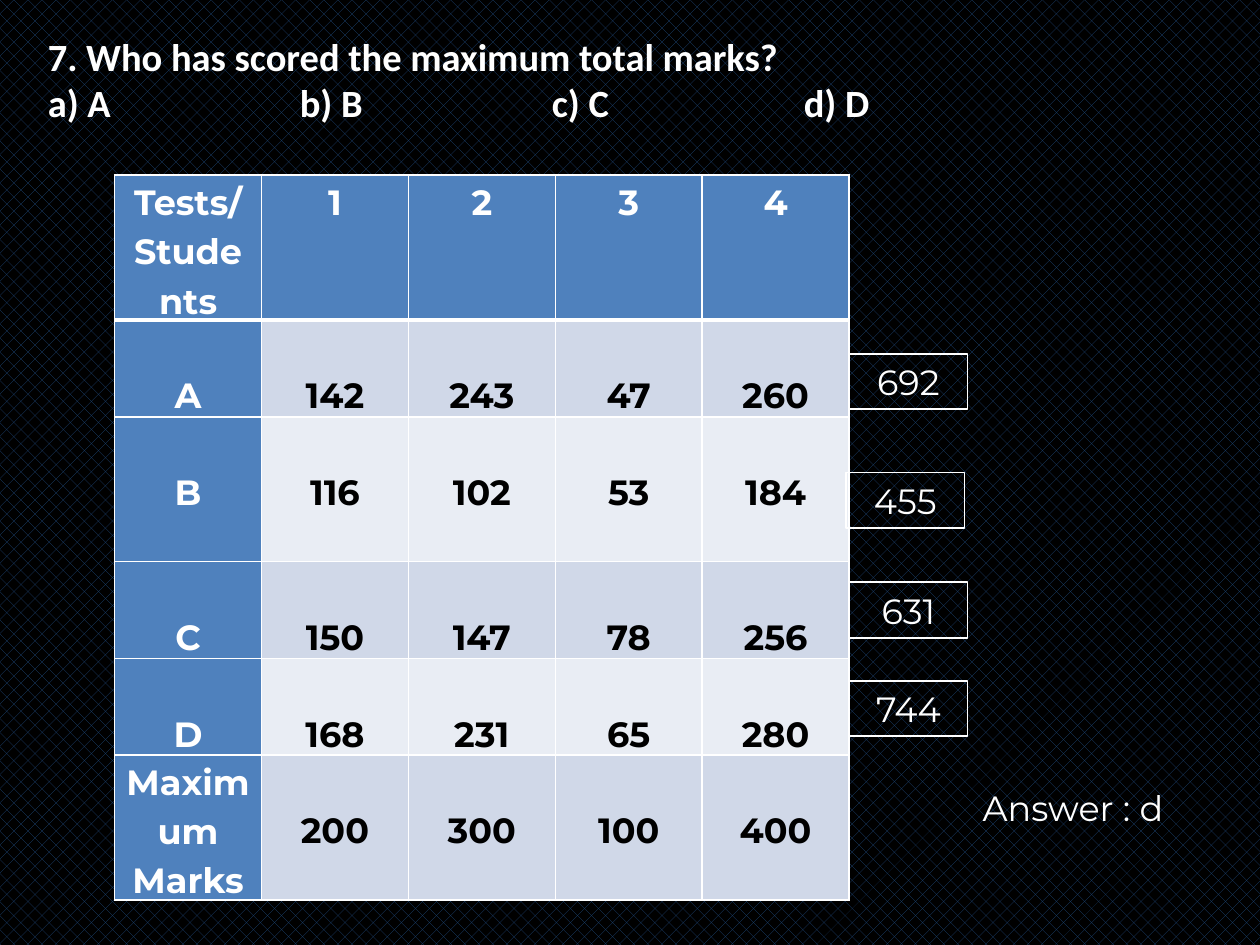
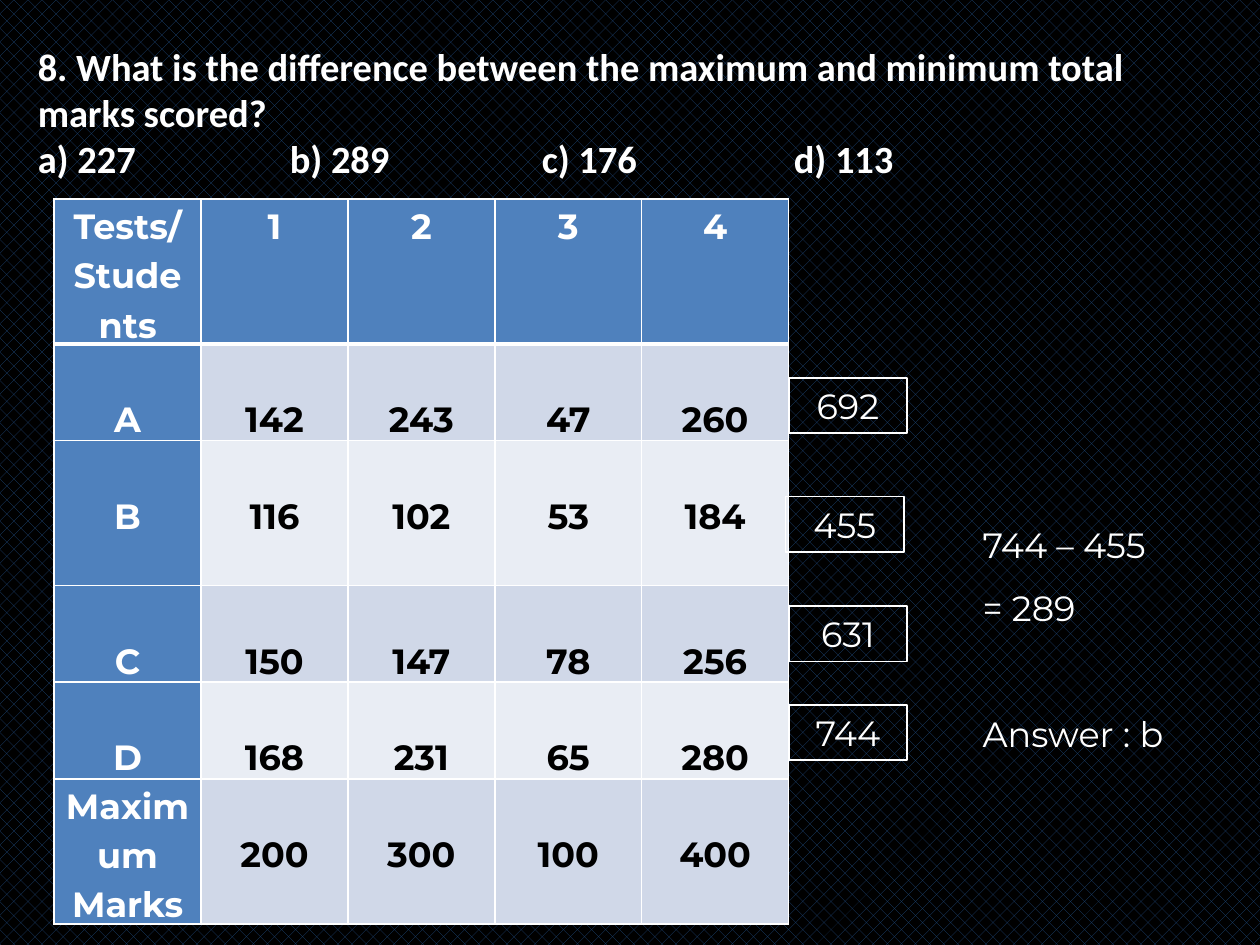
from dataclasses import dataclass

from lxml.etree import SubElement
from pptx import Presentation
from pptx.dml.color import RGBColor as RGB
from pptx.enum.dml import MSO_PATTERN
from pptx.enum.shapes import MSO_SHAPE
from pptx.enum.text import MSO_ANCHOR, MSO_AUTO_SIZE, PP_ALIGN
from pptx.oxml.ns import qn
from pptx.util import Inches, Pt


@dataclass(frozen=True)
class Theme:
    background: RGB = RGB(0, 0, 0)
    hatch: RGB = RGB(0x1F, 0x49, 0x7D)
    light: RGB = RGB(0xFF, 0xFF, 0xFF)
    dark: RGB = RGB(0, 0, 0)
    heading_fill: RGB = RGB(0x4F, 0x81, 0xBD)
    odd_band: RGB = RGB(0xD0, 0xD8, 0xE8)
    even_band: RGB = RGB(0xE9, 0xED, 0xF4)
    question_font: str = "Calibri"
    body_font: str = "Montserrat"
    question_size: int = 22
    body_size: int = 20
    thin: int = 1
    thick: int = 3


THEME = Theme()

# The slide is a grid of 100 columns by 75 rows.
GRID_COLUMNS, GRID_ROWS = 100, 75
SLIDE_WIDTH, SLIDE_HEIGHT = Inches(10), Inches(7.5)


@dataclass(frozen=True)
class Box:
    """A rectangle in grid columns and rows."""
    left: float
    top: float
    width: float
    height: float

    def lengths(self) -> tuple[int, int, int, int]:
        column, row = SLIDE_WIDTH / GRID_COLUMNS, SLIDE_HEIGHT / GRID_ROWS
        return (round(self.left * column), round(self.top * row),
                round(self.width * column), round(self.height * row))


@dataclass(frozen=True)
class Student:
    name: str
    marks: tuple[int, ...]
    table_lines: int     # height of the table row, in text lines
    total_line: float    # top of the total box, in text lines
    total_shift: float = 0


@dataclass(frozen=True)
class Question:
    text: str
    options: tuple[str, ...]
    title_box: Box
    table_left: float
    table_top: float
    answer: str
    answer_box: Box
    working: tuple[str, ...] = ()
    answer_spacing: float = 1


STUDENTS = (
    Student("A", (142, 243, 47, 260), 2, 3.7),
    Student("B", (116, 102, 53, 184), 3, 6.16, -0.25),
    Student("C", (150, 147, 78, 256), 2, 8.43),
    Student("D", (168, 231, 65, 280), 2, 10.47),
)
MAXIMUM_MARKS = (200, 300, 100, 400)
TABLE_ROWS = (
    ("Tests/ Students", 1, 2, 3, 4),
    *((student.name, *student.marks) for student in STUDENTS),
    ("Maximum Marks", *MAXIMUM_MARKS),
)
ROW_LINES = (3, *(student.table_lines for student in STUDENTS), 3)
TABLE_WIDTH, TABLE_HEIGHT = 58.3, 57.5
LINE = TABLE_HEIGHT / sum(ROW_LINES)
TOTAL_WIDTH, TOTAL_HEIGHT = 9.4, 4.4
OPTION_STEP = Inches(2)

QUESTIONS = (
    Question(
        "7. Who has scored the maximum total marks?",
        ("a) A", "b) B", "c) C", "d) D"),
        Box(2.8, 2.1, 95.3, 8.4), 9.1, 13.9,
        "Answer : d", Box(77, 61.9, 19.4, 4.4),
    ),
    Question(
        "8. What is the difference between the maximum and minimum total marks scored?",
        ("a) 227", "b) 289", "c) 176", "d) 113"),
        Box(2, 2.9, 96.1, 12.1), 4.3, 15.8,
        "Answer : b", Box(77, 39.4, 19.4, 21.2),
        ("744 – 455", "= 289"), 1.5,
    ),
)


def style_paragraph(paragraph, font: str, size: int, color: RGB,
                    bold: bool = False, align=PP_ALIGN.LEFT,
                    line_spacing: float = 1) -> None:
    paragraph.alignment = align
    paragraph.line_spacing = line_spacing
    paragraph.font.name = font
    paragraph.font.size = Pt(size)
    paragraph.font.bold = bold
    paragraph.font.color.rgb = color


def add_option_tabs(paragraph, count: int) -> None:
    tabs = SubElement(paragraph._p.get_or_add_pPr(), qn("a:tabLst"))
    for index in range(1, count):
        SubElement(tabs, qn("a:tab"), pos=str(index * OPTION_STEP), algn="l")


def fill_title(slide, question: Question) -> None:
    title = slide.shapes.title
    title.left, title.top, title.width, title.height = question.title_box.lengths()
    frame = title.text_frame
    frame.word_wrap = True
    frame.auto_size = MSO_AUTO_SIZE.SHAPE_TO_FIT_TEXT
    frame.vertical_anchor = MSO_ANCHOR.TOP
    frame.text = question.text + "\n" + "\t".join(question.options)
    add_option_tabs(frame.paragraphs[1], len(question.options))
    for paragraph in frame.paragraphs:
        style_paragraph(paragraph, THEME.question_font, THEME.question_size,
                        THEME.light, bold=True)


def set_borders(cell, top: int, bottom: int) -> None:
    properties = cell._tc.get_or_add_tcPr()
    widths = {"lnL": THEME.thin, "lnR": THEME.thin, "lnT": top, "lnB": bottom}
    for side, width in widths.items():
        line = SubElement(properties, qn(f"a:{side}"), w=str(Pt(width)))
        fill = SubElement(line, qn("a:solidFill"))
        SubElement(fill, qn("a:srgbClr"), val=str(THEME.light))


def format_cell(cell, row: int, column: int) -> None:
    is_heading = row == 0 or column == 0
    set_borders(cell, THEME.thick if row == 1 else THEME.thin,
                THEME.thick if row == 0 else THEME.thin)
    band = THEME.odd_band if row % 2 else THEME.even_band
    cell.fill.solid()
    cell.fill.fore_color.rgb = THEME.heading_fill if is_heading else band
    cell.margin_left = cell.margin_right = Inches(0.07)
    # Marks and names stand on the second line; the tall headings fill their cells.
    starts_at_top = row == 0 or (column == 0 and row == len(TABLE_ROWS) - 1)
    cell.margin_top = 0 if starts_at_top else Box(0, 0, 0, LINE).lengths()[3]
    cell.margin_bottom = 0
    style_paragraph(cell.text_frame.paragraphs[0], THEME.body_font, THEME.body_size,
                    THEME.light if is_heading else THEME.dark, bold=True,
                    align=PP_ALIGN.CENTER, line_spacing=1.15)


def add_marks_table(slide, left: float, top: float) -> None:
    box = Box(left, top, TABLE_WIDTH, TABLE_HEIGHT)
    table = slide.shapes.add_table(len(TABLE_ROWS), len(TABLE_ROWS[0]),
                                   *box.lengths()).table
    for row, (values, lines) in enumerate(zip(TABLE_ROWS, ROW_LINES)):
        table.rows[row].height = Box(0, 0, 0, lines * LINE).lengths()[3]
        for column, value in enumerate(values):
            cell = table.cell(row, column)
            cell.text = str(value)
            format_cell(cell, row, column)


def add_total(slide, student: Student, table_left: float, table_top: float) -> None:
    box = Box(table_left + TABLE_WIDTH + student.total_shift,
              table_top + student.total_line * LINE, TOTAL_WIDTH, TOTAL_HEIGHT)
    shape = slide.shapes.add_shape(MSO_SHAPE.RECTANGLE, *box.lengths())
    shape.shadow.inherit = False
    shape.fill.background()
    shape.line.color.rgb = THEME.light
    shape.line.width = Pt(THEME.thin)
    shape.text_frame.text = str(sum(student.marks))
    style_paragraph(shape.text_frame.paragraphs[0], THEME.body_font,
                    THEME.body_size, THEME.light, align=PP_ALIGN.CENTER)


def add_answer(slide, question: Question) -> None:
    frame = slide.shapes.add_textbox(*question.answer_box.lengths()).text_frame
    frame.word_wrap = True
    frame.text = "\n".join((*question.working, question.answer))
    for paragraph in frame.paragraphs:
        style_paragraph(paragraph, THEME.body_font, THEME.body_size, THEME.light,
                        line_spacing=question.answer_spacing)
    if question.working:
        frame.paragraphs[-1].space_before = Pt(36)


def set_background(master) -> None:
    fill = master.background.fill
    fill.patterned()
    fill.pattern = MSO_PATTERN.PERCENT_25
    fill.fore_color.rgb = THEME.hatch
    fill.back_color.rgb = THEME.background


def add_question_slide(presentation, question: Question) -> None:
    title_only = presentation.slide_layouts.get_by_name("Title Only")
    slide = presentation.slides.add_slide(title_only)
    fill_title(slide, question)
    add_marks_table(slide, question.table_left, question.table_top)
    for student in STUDENTS:
        add_total(slide, student, question.table_left, question.table_top)
    add_answer(slide, question)


def main() -> None:
    presentation = Presentation()
    presentation.slide_width, presentation.slide_height = SLIDE_WIDTH, SLIDE_HEIGHT
    set_background(presentation.slide_master)
    for question in QUESTIONS:
        add_question_slide(presentation, question)
    presentation.save("out.pptx")


if __name__ == "__main__":
    main()
